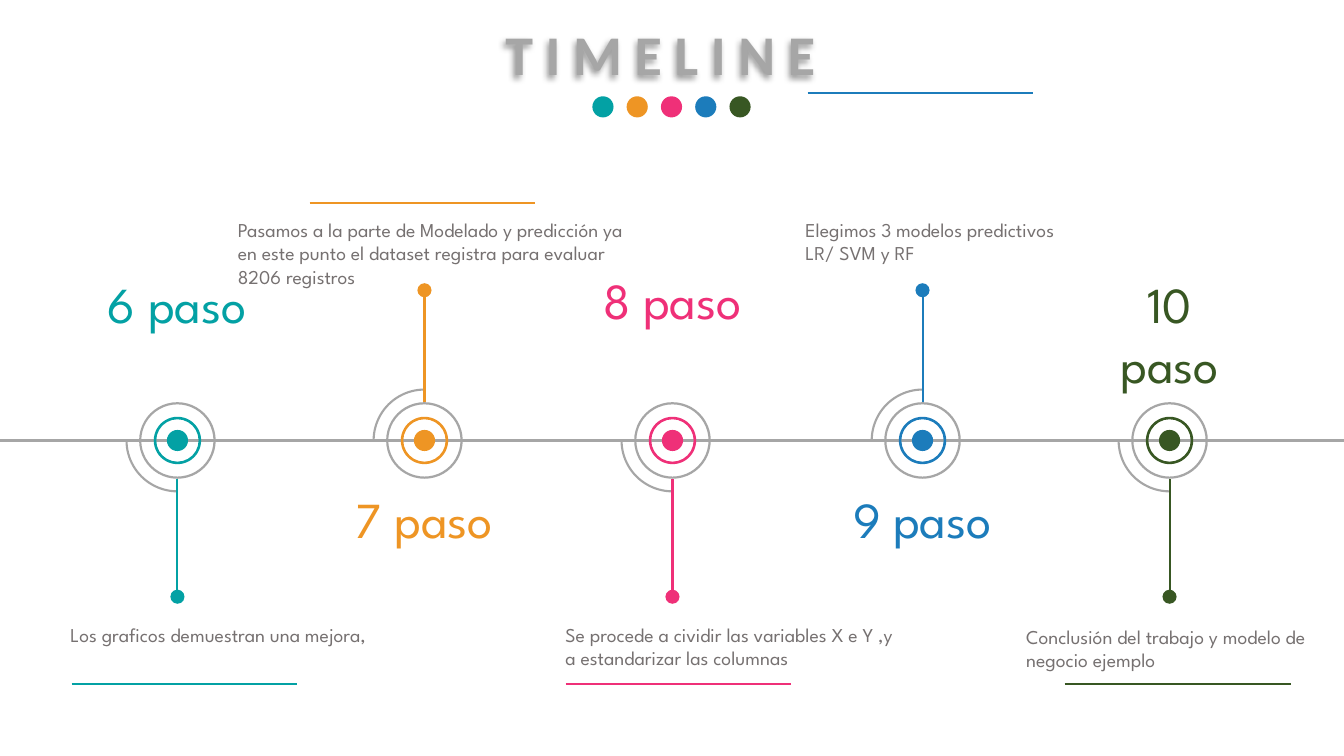
"""Build a five-step timeline slide."""
from itertools import pairwise
from lxml.etree import SubElement
from pptx import Presentation
from pptx.dml.color import RGBColor as Rgb
from pptx.enum.shapes import MSO_CONNECTOR as Link, MSO_SHAPE as Kind
from pptx.enum.text import MSO_ANCHOR as Anchor, MSO_AUTO_SIZE as Fit, PP_ALIGN as Align
from pptx.oxml.ns import qn
from pptx.util import Inches, Pt

HUES = {"teal": "03A1A4", "gold": "EE9524", "pink": "EF3078",
        "blue": "1C7CBB", "green": "385723", "gray": "A6A6A6", "text": "767171"}
FONT = "League Spartan"
TITLE = "T I M E L I N E"
STEPS = [
    dict(hue="teal", x=1.76, up=False, name="6 paso", top=2.66,
         note=["Los graficos demuestran una mejora,"],
         box=(0.6, 6.13, 3.5, 0.57), rule=(0.71, 6.79)),
    dict(hue="gold", x=4.21, up=True, name="7 paso", top=4.79,
         note=["Pasamos a la parte de Modelado y predicción ya en este punto "
               "el dataset registra para evaluar 8206 registros"],
         box=(2.26, 2.11, 4.19, 0.81), rule=(3.07, 2.01)),
    dict(hue="pink", x=6.67, up=False, name="8 paso", top=2.62,
         note=["Se procede a cividir las variables X e Y ,y a estandarizar las columnas"],
         box=(5.51, 6.13, 3.5, 0.57), rule=(5.61, 6.79)),
    dict(hue="blue", x=9.15, up=True, name="9 paso", top=4.79,
         note=["Elegimos 3 modelos predictivos", "LR/ SVM y RF"],
         box=(7.89, 2.11, 3.5, 0.57), rule=(8.01, 0.92)),
    dict(hue="green", x=11.6, up=False, name="10 paso", top=2.66,
         note=["Conclusión del trabajo y modelo de negocio ejemplo"],
         box=(10.08, 6.15, 3.5, 0.57), rule=(10.56, 6.79)),
]
JOINTS = [0, 1.81, 4.28, 6.74, 9.2, 11.66, 13.33]
AXIS = 4.37
RULE = 2.24


def tint(hue):
    return Rgb.from_string(HUES[hue])


def draw_line(slide, start, end, hue):
    line = slide.shapes.add_connector(Link.STRAIGHT, *map(Inches, (*start, *end)))
    line.line.color.rgb = tint(hue)
    line.line.width = Pt(1.5)
    SubElement(line._element.spPr, qn("a:effectLst"))


def draw_round(shapes, kind, x, y, size, hue, adj=()):
    part = shapes.add_shape(kind, *map(Inches, (x - size / 2, y - size / 2, size, size)))
    part.shadow.inherit = False
    for i, value in enumerate(adj):
        part.adjustments[i] = value
    if kind == Kind.ARC:
        part.fill.background()
        part.line.color.rgb = tint(hue)
        part.line.width = Pt(1.5)
    else:
        part.fill.solid()
        part.fill.fore_color.rgb = tint(hue)
        part.line.fill.background()
    return part


def write(shape, lines, size, hue, font=FONT, align=Align.LEFT, bold=False):
    frame = shape.text_frame
    frame.word_wrap = True
    frame.auto_size = Fit.SHAPE_TO_FIT_TEXT
    frame.vertical_anchor = Anchor.TOP
    for i, line in enumerate(lines):
        para = frame.add_paragraph() if i else frame.paragraphs[0]
        para.alignment = align
        run = para.add_run()
        run.text = line
        run.font.name = font
        run.font.size = Pt(size)
        run.font.bold = bold
        run.font.color.rgb = tint(hue)


def add_title(slide):
    title = slide.shapes.title
    title.left, title.top, title.width, title.height = map(Inches, (2.57, 0.14, 7.96, 0.77))
    write(title, [TITLE], 40, "gray", "Calibri", Align.CENTER, True)
    title.text_frame.paragraphs[0].line_spacing = 1.0
    effects = SubElement(title._element.spPr, qn("a:effectLst"))
    shade = SubElement(effects, qn("a:outerShdw"), blurRad="50800", dist="38100",
                       dir="8100000", algn="tr", rotWithShape="0")
    color = SubElement(shade, qn("a:srgbClr"), val="000000")
    SubElement(color, qn("a:alpha"), val="40000")


def add_step(slide, step):
    shapes, x, hue, up = slide.shapes, step["x"], step["hue"], step["up"]
    arc = draw_round(shapes, Kind.ARC, x, AXIS, 1.01, "gray", (54.204, 108.533))
    arc.rotation = 90 if up else 0
    draw_round(shapes, Kind.OVAL, x, AXIS, 0.21, hue)
    draw_round(shapes, Kind.DONUT, x, AXIS, 0.47, hue, (0.053,))
    draw_round(shapes, Kind.DONUT, x, AXIS, 0.76, "gray", (0.029,))
    far, near, dot = (2.86, 3.99, 2.88) if up else (5.88, 4.75, 5.92)
    draw_line(slide, (x, far), (x, near), hue)
    draw_round(shapes, Kind.OVAL, x, dot, 0.14, hue)
    label = shapes.add_textbox(*map(Inches, (x - 0.83, step["top"], 1.66, 1.31)))
    write(label, [step["name"]], 36, hue, align=Align.CENTER)
    note = shapes.add_textbox(*map(Inches, step["box"]))
    write(note, step["note"], 14, "text")
    left, top = step["rule"]
    draw_line(slide, (left, top), (left + RULE, top), hue)


def main():
    deck = Presentation()
    deck.slide_width, deck.slide_height = Inches(13.33), Inches(7.5)
    slide = deck.slides.add_slide(deck.slide_layouts[5])
    add_title(slide)
    for start, end in pairwise(JOINTS):
        draw_line(slide, (start, AXIS), (end, AXIS), "gray")
    for step in STEPS:
        add_step(slide, step)
    dots = slide.shapes.add_group_shape()
    for i, step in enumerate(STEPS):
        draw_round(dots.shapes, Kind.OVAL, 5.98 + 0.34 * i, 1.06, 0.21, step["hue"])
    deck.save("out.pptx")


if __name__ == "__main__":
    main()
